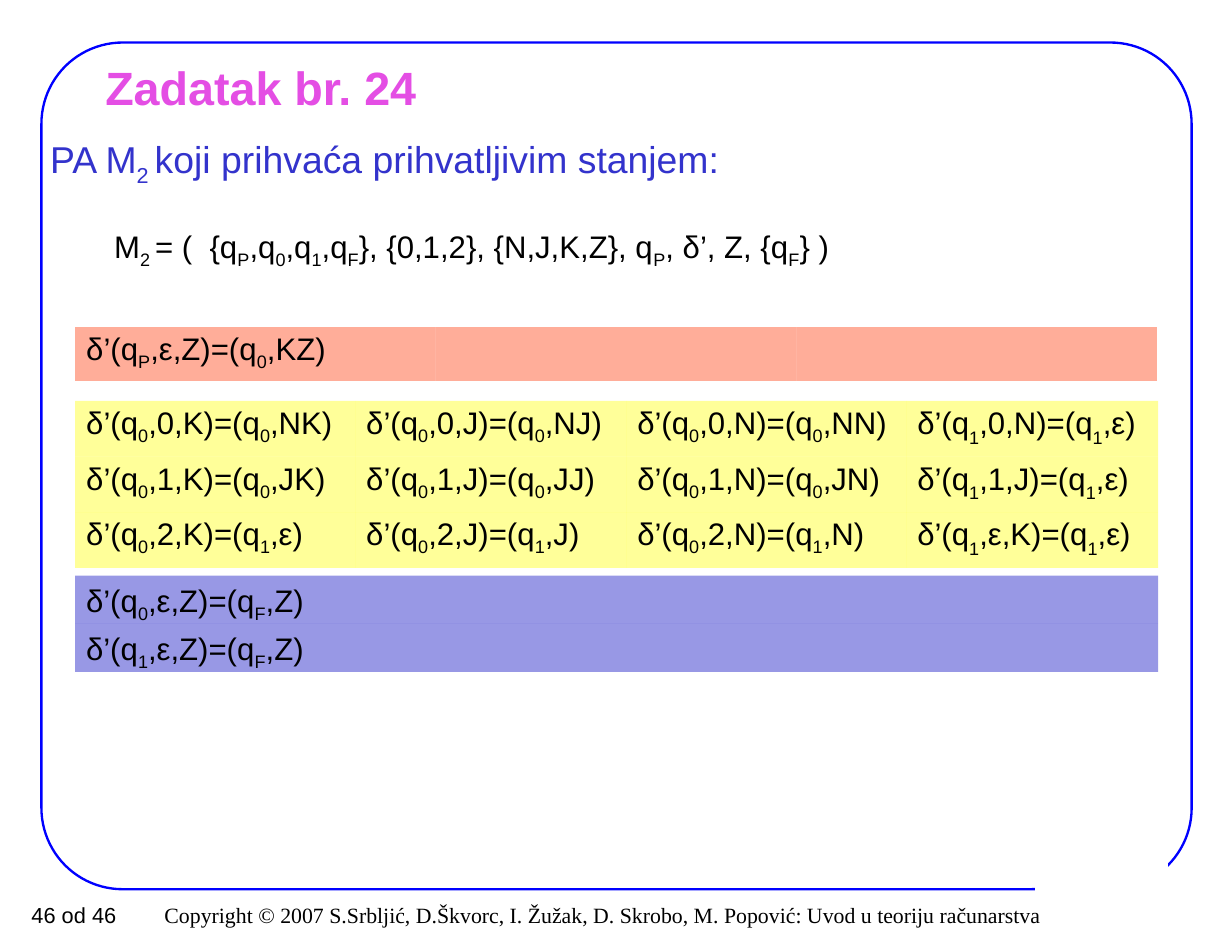
import pptx
import pptx.dml.color
import pptx.enum.shapes
import pptx.enum.text
import pptx.oxml
import pptx.oxml.ns
import pptx.util

Inches = pptx.util.Inches
Pt = pptx.util.Pt
ALIGN = pptx.enum.text.PP_ALIGN
ANCHOR = pptx.enum.text.MSO_ANCHOR
SHAPE = pptx.enum.shapes.MSO_SHAPE
COLORS = {
    "frame": "0000FF",
    "paper": "FFFFFF",
    "ink": "000000",
    "title": "E44EE4",
    "heading": "3333CC",
    "start": "FF3300",
    "moves": "FFFF00",
    "accept": "3333CC",
}
NO_STYLE = "{2D5ABB26-0587-4C30-8999-92F81FD0307C}"


def rgb(name):
    return pptx.dml.color.RGBColor.from_string(COLORS[name])


def set_fill(fill, properties, color, alpha):
    fill.solid()
    fill.fore_color.rgb = rgb(color)
    for node in properties.iter(pptx.oxml.ns.qn("a:srgbClr")):
        opacity = pptx.oxml.parse_xml(
            f'<a:alpha {pptx.oxml.ns.nsdecls("a")} val="{alpha * 1000}"/>')
        node.append(opacity)


def write(frame, text, size=20, color="ink", font="Arial", drop=-25):
    paragraph = frame.paragraphs[0]
    for index, part in enumerate(text.split("|")):
        run = paragraph.add_run()
        run.text = part
        run.font.size = Pt(size)
        run.font.name = font
        run.font.color.rgb = rgb(color)
        if index % 2:
            run.font._element.set("baseline", str(drop * 1000))
    return paragraph


def text_box(slide, box, text, anchor=ANCHOR.TOP, wrap=True, **style):
    frame = slide.shapes.add_textbox(*map(Inches, box)).text_frame
    frame.word_wrap = wrap
    frame.vertical_anchor = anchor
    return write(frame, text, **style)


def move(state, symbol, top, target, pushed):
    return f"δ’(q|{state}|,{symbol},{top})=(q|{target}|,{pushed})"


def add_page_frame(slide, box):
    left, top, width, height = box
    border = slide.shapes.add_shape(SHAPE.ROUNDED_RECTANGLE, *map(Inches, box))
    border.adjustments[0] = 0.096
    border.fill.background()
    border.line.color.rgb = rgb("frame")
    border.line.width = Pt(1.5)
    border.shadow.inherit = False

    gap = slide.shapes.add_shape(
        SHAPE.RECTANGLE, Inches(left + width - 1.39), Inches(top + height - 0.27),
        Inches(1.17), Inches(0.5))
    gap.fill.solid()
    gap.fill.fore_color.rgb = rgb("paper")
    gap.line.color.rgb = rgb("paper")
    gap.line.width = Pt(1)
    gap.shadow.inherit = False


def add_footer(slide, box):
    left, top, width, height = box
    notice = text_box(
        slide, box,
        "Copyright © 2007 S.Srbljić, D.Škvorc, I. Žužak, D. Skrobo, "
        "M. Popović: Uvod u teoriju računarstva",
        anchor=ANCHOR.MIDDLE, size=14, font="Times New Roman")
    notice.alignment = ALIGN.RIGHT
    page = text_box(slide, (left, top, 0.98, height), "46 od 46",
                    wrap=False, size=14)
    page.alignment = ALIGN.CENTER


def add_title(slide, box):
    title = slide.shapes.title
    title.left, title.top, title.width, title.height = map(Inches, box)
    frame = title.text_frame
    frame.margin_left = frame.margin_right = Inches(0.11)
    frame.margin_top = frame.margin_bottom = Inches(0.06)
    frame.vertical_anchor = ANCHOR.MIDDLE
    paragraph = write(frame, "Zadatak br. 24", size=30, color="title")
    paragraph.alignment = ALIGN.LEFT
    paragraph.runs[0].font.bold = True


def add_definition(slide, box):
    left, top, width, height = box
    heading = text_box(
        slide, (left, top, 7.21, 0.65),
        "PA M|2 |koji prihvaća prihvatljivim stanjem:",
        wrap=False, size=24, color="heading")
    heading.line_spacing = 1.2
    text_box(
        slide, (left + 0.57, top + 0.9, width - 0.57, height - 0.9),
        "M|2 |= (  {q|P|,q|0|,q|1|,q|F|}, {0,1,2}, {N,J,K,Z}, "
        "q|P|, δ’, Z, {q|F|} )",
        anchor=ANCHOR.MIDDLE)


def add_move_table(slide, box, rows, widths, color, drops):
    graphic = slide.shapes.add_table(len(rows), len(widths), *map(Inches, box))
    table = graphic.table
    table.first_row = table.horz_banding = False
    table._tbl.tblPr.find(pptx.oxml.ns.qn("a:tableStyleId")).text = NO_STYLE
    for column, width in zip(table.columns, widths):
        column.width = Inches(width)
    for row, texts in zip(table.rows, rows):
        row.height = Inches(box[3] / len(rows))
        for cell, text, drop in zip(row.cells, texts, drops):
            cell.margin_left = cell.margin_right = Inches(0.1)
            cell.margin_top = cell.margin_bottom = Inches(0.05)
            set_fill(cell.fill, cell._tc.tcPr, color, 40)
            if text:
                write(cell.text_frame, text, drop=drop)


def add_accepting_moves(slide, box):
    left, top, width, height = box
    bar_height = height / 2
    group = slide.shapes.add_group_shape()
    for state in (1, 0):
        bar = group.shapes.add_shape(
            SHAPE.RECTANGLE, Inches(left), Inches(top + state * bar_height),
            Inches(width), Inches(bar_height))
        set_fill(bar.fill, bar._element.spPr, "accept", 50)
        bar.line.fill.background()
        bar.shadow.inherit = False
        bar.text_frame.vertical_anchor = ANCHOR.TOP
        paragraph = write(bar.text_frame, move(state, "ε", "Z", "F", "Z"))
        paragraph.alignment = ALIGN.LEFT


def reading_moves():
    rows = []
    for symbol, pushed, popped in ((0, "N", "N"), (1, "J", "J"), (2, "", "K")):
        row = [move(0, symbol, top, 0, pushed + top) if pushed
               else move(0, symbol, top, 1, "ε" if top == "K" else top)
               for top in "KJN"]
        row.append(move(1, symbol if pushed else "ε", popped, 1, "ε"))
        rows.append(row)
    return rows


def main():
    deck = pptx.Presentation()
    deck.slide_width, deck.slide_height = Inches(11), Inches(8.5)
    slide = deck.slides.add_slide(deck.slide_layouts[5])
    add_page_frame(slide, (0.37, 0.38, 10.27, 7.56))
    add_footer(slide, (0.17, 8, 9.23, 0.34))
    add_title(slide, (0.83, 0.5, 9.35, 0.55))
    add_definition(slide, (0.35, 1.08, 9.82, 1.38))
    add_move_table(slide, (0.67, 2.92, 9.67, 0.48),
                   [[move("P", "ε", "Z", 0, "KZ"), "", ""]],
                   [3.22] * 3, "start", [-25] * 3)
    add_move_table(slide, (0.67, 3.58, 9.67, 1.49), reading_moves(),
                   [2.5, 2.42, 2.5, 2.25], "moves", [-25, -25, -25, -30])
    add_accepting_moves(slide, (0.67, 5.14, 9.67, 0.86))
    deck.save("out.pptx")


if __name__ == "__main__":
    main()
